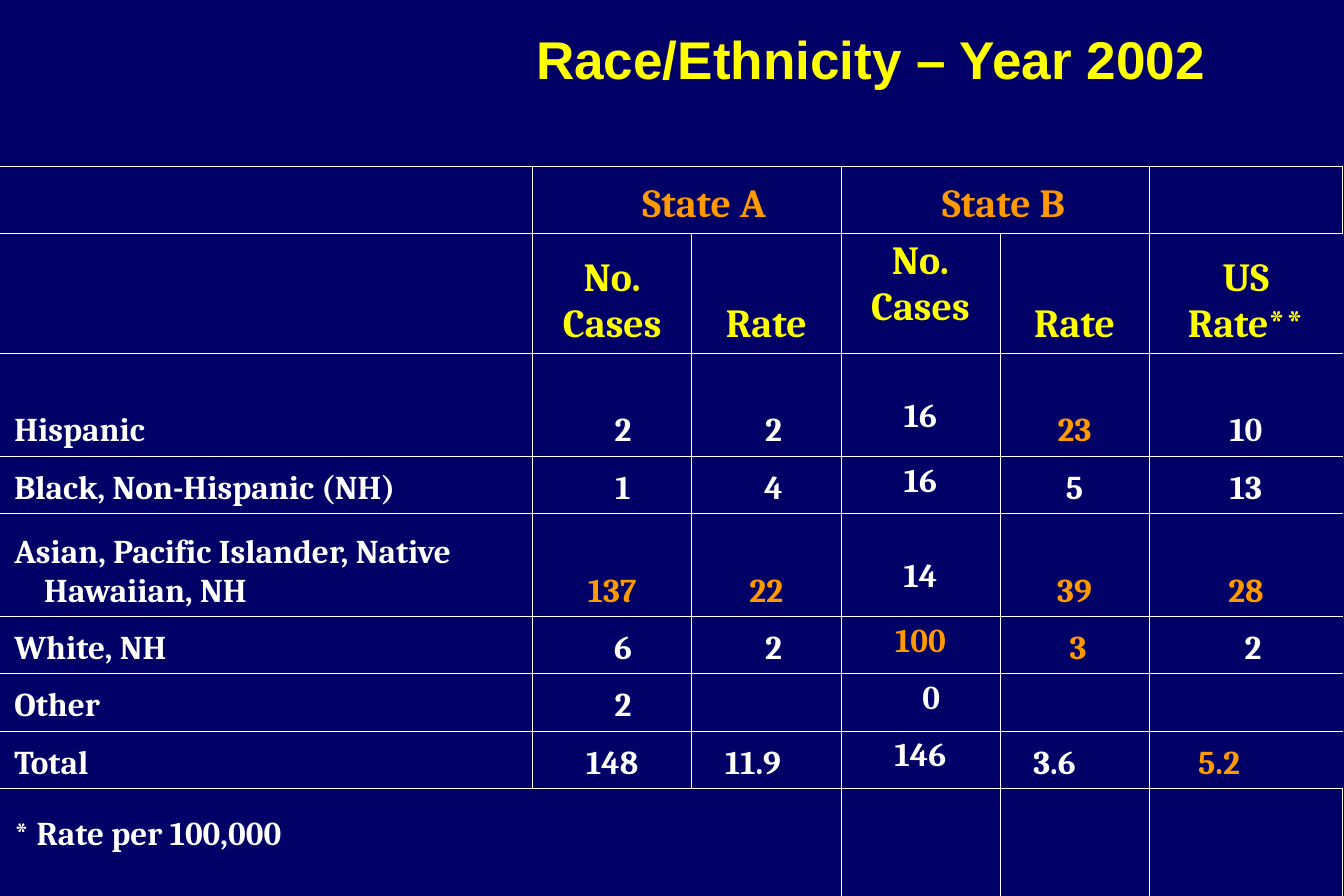
"""Build the slide with the table of cases and rates by race and ethnicity."""
from dataclasses import dataclass

from lxml import etree
from pptx import Presentation
from pptx.dml.color import RGBColor
from pptx.enum.text import MSO_ANCHOR, MSO_AUTO_SIZE, PP_ALIGN
from pptx.oxml.ns import qn
from pptx.util import Inches, Pt

CENTER, LEFT = PP_ALIGN.CENTER, PP_ALIGN.LEFT
TOP, BOTTOM = MSO_ANCHOR.TOP, MSO_ANCHOR.BOTTOM
NO_AUTOFIT = MSO_AUTO_SIZE.NONE
TITLE_ONLY = 5
PLAIN_TABLE_STYLE = "{2D5ABB26-0587-4C30-8999-92F81FD0307C}"

TITLE = "Race/Ethnicity – Year 2002"
ROWS = [
    ["", "State A", "", "State B", "", ""],
    ["", "No. Cases", "Rate", "No. Cases", "Rate", "US\nRate**"],
    ["Hispanic", "2", "2", "16", "23", "10"],
    ["Black, Non-Hispanic (NH)", "1", "4", "16", "5", "13"],
    ["Asian, Pacific Islander, Native Hawaiian, NH", "137", "22", "14", "39", "28"],
    ["White, NH", "6", "2", "100", "3", "2"],
    ["Other", "2", "", "0", "", ""],
    ["Total", "148", "11.9", "146", "3.6", "5.2"],
    ["* Rate per 100,000", "", "", "", "", ""],
]
STATE_ROW, HEADING_ROW, TOTAL_ROW, NOTE_ROW = 0, 1, 7, 8
STATE_B_CASES = 3
MERGES = [((0, 1), (0, 2)), ((0, 3), (0, 4)), ((8, 0), (8, 2))]
HIGHLIGHTS = {(2, 4), (4, 1), (4, 2), (4, 4), (4, 5), (5, 3), (5, 4), (7, 5)}
LEFT_ALIGNED = {(TOTAL_ROW, 2), (TOTAL_ROW, 4), (TOTAL_ROW, 5)}
INDENTS = {(0, 1): 0.29, (0, 3): 0.14, (5, 4): 0.06,
           (7, 2): 0.18, (7, 4): 0.18, (7, 5): 0.31}
DIGIT_INDENTS = {1: 0.18, 2: 0.12, 3: 0.18, 5: 0.12}

TABLE_LEFT, TABLE_TOP = -0.04, 1.39
COLUMN_WIDTHS = [4.5, 1.33, 1.25, 1.33, 1.25, 1.62]
ROW_HEIGHTS = [0.56, 1.01, 0.86, 0.48, 0.86, 0.48, 0.48, 0.48, 1.24]
SIDE_MARGIN, END_MARGIN = 0.1, 0.05
LABEL_INDENT, HANGING, LINE_HEIGHT = 0.06, 0.25, 0.32
TALL_ROW = 0.86


@dataclass(frozen=True)
class Theme:
    """Colours, fonts and sizes of the slide."""
    background: str = "000066"
    text: str = "FFFFFF"
    heading: str = "FFFF00"
    accent: str = "FF9900"
    title_font: str = "Arial"
    table_font: str = "Cambria"
    title_size: int = 32
    heading_size: int = 24
    body_size: int = 20
    line_width: float = 0.45


THEME = Theme()


def write_text(frame, text, *, font, size, color, align):
    """Write bold text, one paragraph for each line."""
    frame.text = text
    for paragraph in frame.paragraphs:
        paragraph.alignment = align
        for run in paragraph.runs:
            run.font.name = font
            run.font.size = Pt(size)
            run.font.bold = True
            run.font.color.rgb = RGBColor.from_string(color)


def draw_borders(cell, sides):
    """Add a thin line on each of the given cell sides."""
    properties = cell._tc.get_or_add_tcPr()
    for side in sides:
        line = etree.SubElement(properties, qn(f"a:ln{side}"), w=str(Pt(THEME.line_width)))
        fill = etree.SubElement(line, qn("a:solidFill"))
        etree.SubElement(fill, qn("a:srgbClr"), val=THEME.text)


def text_color(row, column):
    """Choose the colour of a cell's text."""
    if row == STATE_ROW or (row, column) in HIGHLIGHTS:
        return THEME.accent
    return THEME.heading if row == HEADING_ROW else THEME.text


def cell_indent(row, column, text):
    """Return the extra left margin that lines up a cell's text."""
    if column == 0:
        return LABEL_INDENT
    default = DIGIT_INDENTS.get(column, 0) if len(text) == 1 else 0
    return INDENTS.get((row, column), default)


def fill_cell(cell, row, column, text):
    """Place and format the text of one cell."""
    is_label = column == 0
    at_top = column == STATE_B_CASES and row > STATE_ROW
    pushed_down = at_top and row > HEADING_ROW and ROW_HEIGHTS[row] == TALL_ROW
    cell.vertical_anchor = TOP if at_top else BOTTOM
    cell.margin_left = Inches(SIDE_MARGIN + cell_indent(row, column, text))
    cell.margin_right = Inches(SIDE_MARGIN)
    cell.margin_top = Inches(END_MARGIN + LINE_HEIGHT * pushed_down)
    cell.margin_bottom = Inches(END_MARGIN + 2 * LINE_HEIGHT * (row == NOTE_ROW))
    write_text(cell.text_frame, text, font=THEME.table_font,
               size=THEME.heading_size if row <= HEADING_ROW else THEME.body_size,
               color=text_color(row, column),
               align=LEFT if is_label or (row, column) in LEFT_ALIGNED else CENTER)
    if is_label:
        properties = cell.text_frame.paragraphs[0]._p.get_or_add_pPr()
        properties.set("marL", str(Inches(HANGING)))
        properties.set("indent", str(-Inches(HANGING)))


def add_title(slide):
    """Place the title in its placeholder."""
    title = slide.shapes.title
    title.left, title.top = Inches(4.04), Inches(0.17)
    title.width, title.height = Inches(6.5), Inches(0.64)
    frame = title.text_frame
    frame.word_wrap = True
    frame.auto_size = NO_AUTOFIT
    frame.vertical_anchor = TOP
    write_text(frame, TITLE, font=THEME.title_font, size=THEME.title_size,
               color=THEME.heading, align=CENTER)


def add_rate_table(slide):
    """Add the table of cases and rates."""
    table = slide.shapes.add_table(
        len(ROWS), len(COLUMN_WIDTHS), Inches(TABLE_LEFT), Inches(TABLE_TOP),
        Inches(sum(COLUMN_WIDTHS)), Inches(sum(ROW_HEIGHTS))).table
    table.first_row = table.horz_banding = False
    table._tbl.tblPr.find(qn("a:tableStyleId")).text = PLAIN_TABLE_STYLE
    for column, width in zip(table.columns, COLUMN_WIDTHS):
        column.width = Inches(width)
    for row, height in zip(table.rows, ROW_HEIGHTS):
        row.height = Inches(height)
    for first, last in MERGES:
        table.cell(*first).merge(table.cell(*last))

    last_column = len(COLUMN_WIDTHS) - 1
    for row, texts in enumerate(ROWS):
        for column, text in enumerate(texts):
            cell = table.cell(row, column)
            sides = ["L"] if column > 0 and not cell.is_spanned else []
            if column < last_column and not cell.is_spanned:
                sides.append("R")
            draw_borders(cell, sides + ["T", "B"])
            cell.fill.background()
            if text:
                fill_cell(cell, row, column, text)


def main():
    """Build and save the presentation."""
    presentation = Presentation()
    presentation.slide_width, presentation.slide_height = Inches(11.25), Inches(7.5)
    slide = presentation.slides.add_slide(presentation.slide_layouts[TITLE_ONLY])
    slide.background.fill.solid()
    slide.background.fill.fore_color.rgb = RGBColor.from_string(THEME.background)
    add_rate_table(slide)
    add_title(slide)
    presentation.save("out.pptx")


if __name__ == "__main__":
    main()
